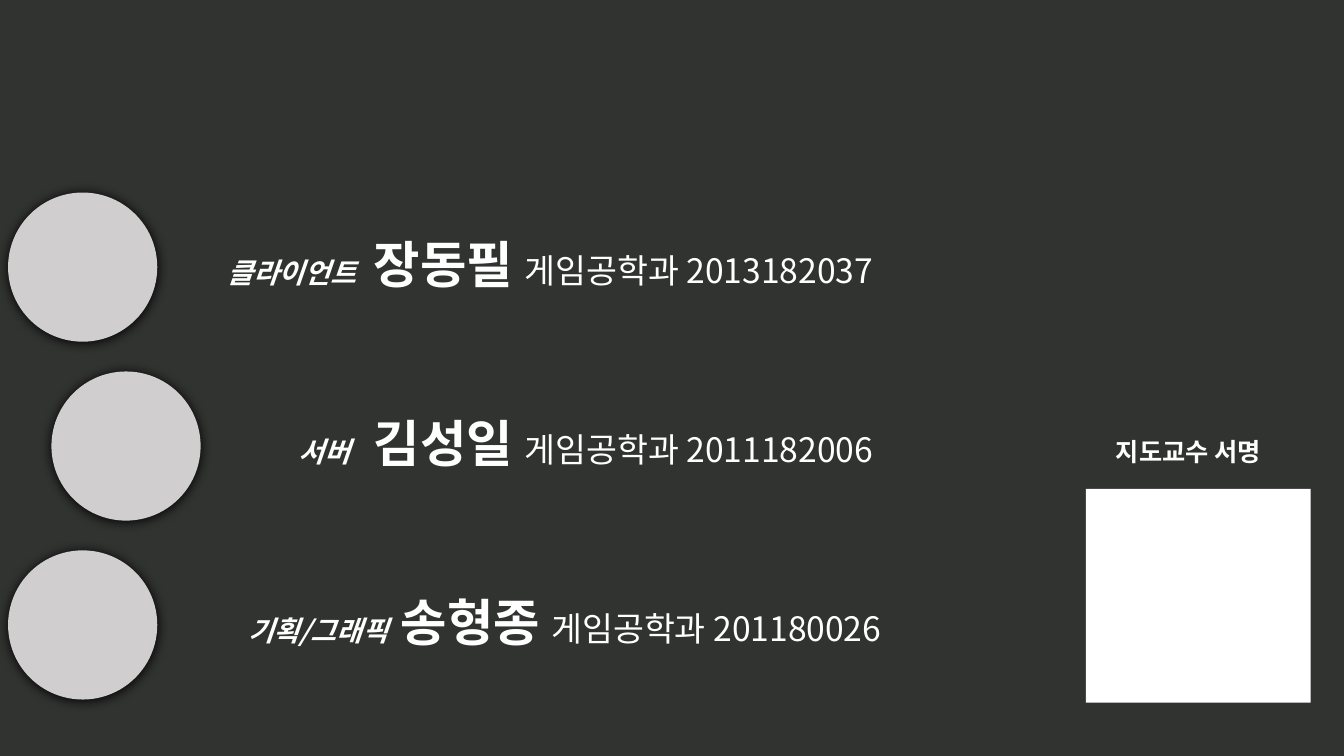
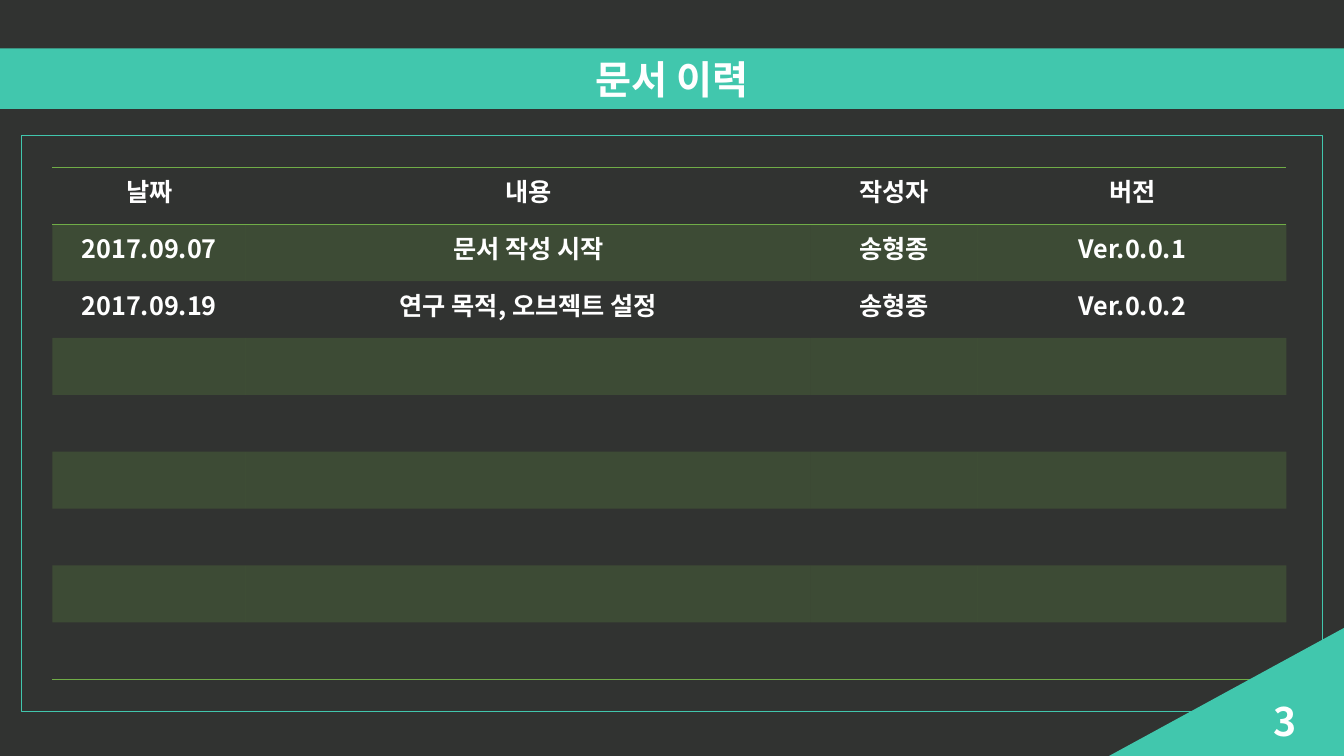
"""Build the team slide and the document history slide."""
from dataclasses import dataclass

import lxml.etree
import pptx
import pptx.dml.color
import pptx.enum.shapes
import pptx.enum.text
import pptx.oxml.ns
import pptx.shapes.autoshape
import pptx.slide
import pptx.table
import pptx.text.text
import pptx.util
from pptx.util import Inches

FONT = "Noto Sans CJK KR"
DARK = "313331"
TEAL = "41C7AD"
GREEN = "70AD47"
GREY = "D0CECE"
WHITE = "FFFFFF"
SLIDE_WIDTH = 13.33
SLIDE_HEIGHT = 7.5
PLAIN_TABLE_STYLE = "{2D5ABB26-0587-4C30-8999-92F81FD0307C}"

SHAPES = pptx.enum.shapes.MSO_SHAPE
ALIGN = pptx.enum.text.PP_ALIGN
ANCHOR = pptx.enum.text.MSO_ANCHOR


@dataclass(frozen=True)
class Box:
    left: float
    top: float
    width: float
    height: float

    def lengths(self) -> tuple[pptx.util.Length, ...]:
        return tuple(Inches(value) for value in (self.left, self.top, self.width, self.height))


@dataclass(frozen=True)
class Member:
    role: str
    name: str
    department: str
    circle_left: float
    role_gap: float
    right_inset: float


MEMBERS = [
    Member("클라이언트", "장동필", "게임공학과 2013182037", 0.08, 8, 0.14),
    Member("서버", "김성일", "게임공학과 2011182006", 0.51, 12.5, 0.14),
    Member("기획/그래픽", "송형종", "게임공학과 201180026", 0.08, 4.5, 0.06),
]
FIRST_CIRCLE_TOP = 1.91
MEMBER_PITCH = 1.775
CIRCLE_SIZE = 1.48
MEMBER_TEXT_RIGHT = 8.8

HISTORY = [
    ("날짜", "내용", "작성자", "버전"),
    ("2017.09.07", "문서 작성 시작", "송형종", "Ver.0.0.1"),
    ("2017.09.19", "연구 목적, 오브젝트 설정", "송형종", "Ver.0.0.2"),
]
HISTORY_ROWS = 9
HISTORY_COLUMNS = (1.92, 5.6, 1.66, 3.06)
HISTORY_BOX = Box(0.52, 1.66, sum(HISTORY_COLUMNS), 5.08)


def color(value: str) -> pptx.dml.color.RGBColor:
    return pptx.dml.color.RGBColor.from_string(value)


def add_xml(parent: lxml.etree._Element, tag: str, **attributes: str) -> lxml.etree._Element:
    element = lxml.etree.SubElement(parent, pptx.oxml.ns.qn(tag))
    for name, value in attributes.items():
        element.set(name, value)
    return element


def add_run(paragraph: pptx.text.text._Paragraph, text: str, size: float, bold: bool = True,
            italic: bool = False, spacing: float = 0) -> None:
    run = paragraph.add_run()
    run.text = text
    run.font.size = pptx.util.Pt(size)
    run.font.bold = bold
    run.font.italic = italic
    run.font.color.rgb = color(WHITE)
    run.font.name = FONT
    properties = run._r.get_or_add_rPr()
    add_xml(properties, "a:ea", typeface=FONT)
    if spacing:
        properties.set("spc", str(round(spacing * 100)))


def add_shape(slide: pptx.slide.Slide, kind: SHAPES, box: Box, fill: str | None = None,
              line: str | None = None) -> pptx.shapes.autoshape.Shape:
    shape = slide.shapes.add_shape(kind, *box.lengths())
    shape.shadow.inherit = False
    if fill:
        shape.fill.solid()
        shape.fill.fore_color.rgb = color(fill)
    else:
        shape.fill.background()
    if line:
        shape.line.color.rgb = color(line)
        shape.line.width = pptx.util.Pt(0.75)
    else:
        shape.line.fill.background()
    return shape


def add_text_box(slide: pptx.slide.Slide, box: Box, align: ALIGN,
                 anchor: ANCHOR) -> pptx.text.text.TextFrame:
    frame = slide.shapes.add_textbox(*box.lengths()).text_frame
    frame.word_wrap = True
    frame.vertical_anchor = anchor
    frame.paragraphs[0].alignment = align
    return frame


def add_soft_shadow(shape: pptx.shapes.autoshape.Shape) -> None:
    effects = shape._element.spPr.find(pptx.oxml.ns.qn("a:effectLst"))
    shadow = add_xml(effects, "a:outerShdw", blurRad=str(pptx.util.Pt(8.5)),
                     dist=str(pptx.util.Pt(1)), dir="5400000", algn="t", rotWithShape="0")
    add_xml(shadow, "a:srgbClr", val="000000")


def add_member(slide: pptx.slide.Slide, member: Member, circle_top: float) -> None:
    text_left = member.circle_left + 0.74
    text_box = Box(text_left, circle_top + 0.15, MEMBER_TEXT_RIGHT - text_left, 1.19)
    frame = add_text_box(slide, text_box, ALIGN.RIGHT, ANCHOR.MIDDLE)
    frame.margin_left = Inches(0.94)
    frame.margin_right = Inches(member.right_inset)
    frame.margin_top = frame.margin_bottom = Inches(0.06)
    paragraph = frame.paragraphs[0]
    paragraph.line_spacing = 0.9
    add_run(paragraph, member.role, 20, italic=True)
    add_run(paragraph, " ", 20, italic=True, spacing=member.role_gap)
    add_run(paragraph, f"{member.name} ", 36)
    add_run(paragraph, member.department, 24, bold=False)
    circle = Box(member.circle_left, circle_top, CIRCLE_SIZE, CIRCLE_SIZE)
    add_soft_shadow(add_shape(slide, SHAPES.OVAL, circle, GREY))


def add_team_slide(slide: pptx.slide.Slide) -> None:
    for index, member in enumerate(MEMBERS):
        add_member(slide, member, FIRST_CIRCLE_TOP + index * MEMBER_PITCH)
    add_shape(slide, SHAPES.RECTANGLE, Box(10.77, 4.85, 2.23, 2.12), WHITE)
    label = add_text_box(slide, Box(10.97, 4.28, 2.04, 0.4), ALIGN.LEFT, ANCHOR.TOP)
    add_run(label.paragraphs[0], "지도교수 서명", 18)


def add_content_frame(slide: pptx.slide.Slide, title: str) -> None:
    add_shape(slide, SHAPES.RECTANGLE, Box(0.21, 1.34, 12.91, 5.72), line=TEAL)
    band = add_shape(slide, SHAPES.RECTANGLE, Box(0, 0.48, SLIDE_WIDTH, 0.6), TEAL)
    band.text_frame.vertical_anchor = ANCHOR.MIDDLE
    paragraph = band.text_frame.paragraphs[0]
    paragraph.alignment = ALIGN.CENTER
    add_run(paragraph, title, 28)


def add_page_corner(slide: pptx.slide.Slide, number: str) -> None:
    width, height = 2.33, 1.27
    box = Box(SLIDE_WIDTH - width, SLIDE_HEIGHT - height, width, height)
    corner = add_shape(slide, SHAPES.RIGHT_TRIANGLE, box, TEAL)
    corner._element.spPr.xfrm.set("flipH", "1")
    frame = add_text_box(slide, Box(9.96, 6.95, 3, 0.4), ALIGN.RIGHT, ANCHOR.MIDDLE)
    add_run(frame.paragraphs[0], number, 28)


def add_border(cell: pptx.table._Cell, side: str) -> None:
    border = add_xml(cell._tc.get_or_add_tcPr(), side, w=str(pptx.util.Pt(1)))
    add_xml(add_xml(border, "a:solidFill"), "a:srgbClr", val=GREEN)


def style_cell(cell: pptx.table._Cell, row: int) -> None:
    if row == 0:
        add_border(cell, "a:lnT")
    if row in (0, HISTORY_ROWS - 1):
        add_border(cell, "a:lnB")
    if row % 2:
        cell.fill.solid()
        cell.fill.fore_color.rgb = color(GREEN)
        shade = cell._tc.tcPr.find(".//" + pptx.oxml.ns.qn("a:srgbClr"))
        add_xml(shade, "a:alpha", val="20000")
    else:
        cell.fill.background()


def add_history_table(slide: pptx.slide.Slide) -> None:
    table = slide.shapes.add_table(HISTORY_ROWS, len(HISTORY_COLUMNS), *HISTORY_BOX.lengths()).table
    table._tbl.tblPr.find(pptx.oxml.ns.qn("a:tableStyleId")).text = PLAIN_TABLE_STYLE
    for column, width in zip(table.columns, HISTORY_COLUMNS):
        column.width = Inches(width)
    for row_index, row in enumerate(table.rows):
        row.height = Inches(HISTORY_BOX.height / HISTORY_ROWS)
        for cell in row.cells:
            style_cell(cell, row_index)
    for row, texts in zip(table.rows, HISTORY):
        for cell, text in zip(row.cells, texts):
            paragraph = cell.text_frame.paragraphs[0]
            paragraph.alignment = ALIGN.CENTER
            add_run(paragraph, text, 18)


def add_history_slide(slide: pptx.slide.Slide) -> None:
    add_content_frame(slide, "문서 이력")
    add_history_table(slide)
    add_page_corner(slide, "3")


def main() -> None:
    presentation = pptx.Presentation()
    presentation.slide_width = Inches(SLIDE_WIDTH)
    presentation.slide_height = Inches(SLIDE_HEIGHT)
    background = presentation.slide_master.background.fill
    background.solid()
    background.fore_color.rgb = color(DARK)
    blank = presentation.slide_layouts[6]
    for add_content in (add_team_slide, add_history_slide):
        add_content(presentation.slides.add_slide(blank))
    presentation.save("out.pptx")


if __name__ == "__main__":
    main()
